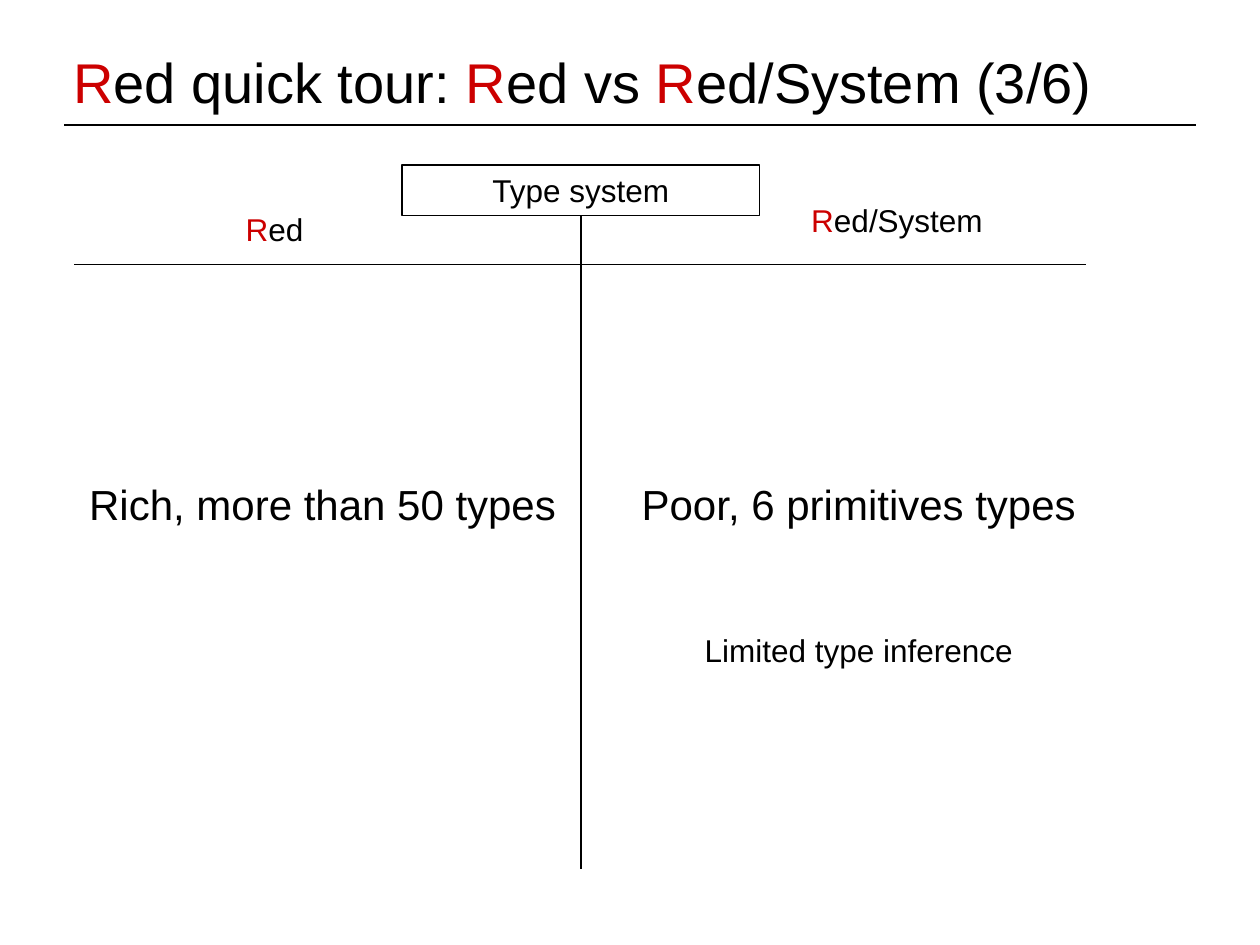
from lxml import etree
from pptx import Presentation
from pptx.dml.color import RGBColor
from pptx.enum.shapes import MSO_CONNECTOR, MSO_SHAPE
from pptx.enum.text import MSO_ANCHOR, PP_ALIGN
from pptx.oxml.ns import qn
from pptx.util import Inches, Pt

COLORS = {"text": "000000", "accent": "CC0000", "box": "FFFFFF"}


def color(name):
    return RGBColor.from_string(COLORS[name])


def write(paragraph, text, size, alignment):
    paragraph.alignment = alignment
    paragraph.font.size = Pt(size)
    paragraph.font.name = "Arial"
    paragraph.font.color.rgb = color("text")
    first, *rest = text.split("Red")
    if first:
        paragraph.add_run().text = first
    for tail in rest:
        initial = paragraph.add_run()
        initial.text = "R"
        initial.font.color.rgb = color("accent")
        paragraph.add_run().text = "ed" + tail


presentation = Presentation()
presentation.slide_width = Inches(10)
presentation.slide_height = Inches(7.5)
slide = presentation.slides.add_slide(presentation.slide_layouts[5])

title = slide.shapes.title
title.left, title.top = Inches(0.5), Inches(0.3)
title.width, title.height = Inches(9), Inches(0.69)
title.text_frame.margin_left = Inches(0.08)
title.text_frame.vertical_anchor = MSO_ANCHOR.MIDDLE
write(title.text_frame.paragraphs[0], "Red quick tour: Red vs Red/System (3/6)", 32, PP_ALIGN.LEFT)

lines = [
    (0.51, 0.99, 9.49, 0.99, 1),
    (4.61, 1.55, 4.61, 6.9, 1.5),
    (0.59, 2.1, 8.62, 2.1, 0.75),
]
for left, top, right, bottom, weight in lines:
    line = slide.shapes.add_connector(
        MSO_CONNECTOR.STRAIGHT, Inches(left), Inches(top), Inches(right), Inches(bottom)
    )
    line.line.color.rgb = color("text")
    line.line.width = Pt(weight)
    etree.SubElement(line._element.spPr, qn("a:effectLst"))

texts = [
    (1.85, 1.62, 1.02, 0.4, PP_ALIGN.LEFT, [("Red", 18)]),
    (6.34, 1.55, 2.13, 0.4, PP_ALIGN.LEFT, [("Red/System", 18)]),
    (0.59, 3.75, 3.94, 1.72, PP_ALIGN.CENTER, [("Rich, more than 50 types", 24)]),
    (4.69, 3.75, 4.25, 2.02, PP_ALIGN.CENTER,
     [("Poor, 6 primitives types", 24), ("Limited type inference", 18)]),
]
for left, top, width, height, alignment, entries in texts:
    text_box = slide.shapes.add_textbox(Inches(left), Inches(top), Inches(width), Inches(height))
    frame = text_box.text_frame
    frame.word_wrap = True
    for index, (text, size) in enumerate(entries):
        paragraph = frame.add_paragraph() if index else frame.paragraphs[0]
        paragraph.space_before = Pt(58 if index else 0)
        write(paragraph, text, size, alignment)

topic = slide.shapes.add_shape(
    MSO_SHAPE.RECTANGLE, Inches(3.19), Inches(1.31), Inches(2.84), Inches(0.4)
)
topic.shadow.inherit = False
topic.fill.solid()
topic.fill.fore_color.rgb = color("box")
topic.line.color.rgb = color("text")
topic.line.width = Pt(0.75)
write(topic.text_frame.paragraphs[0], "Type system", 18, PP_ALIGN.CENTER)

presentation.save("out.pptx")
